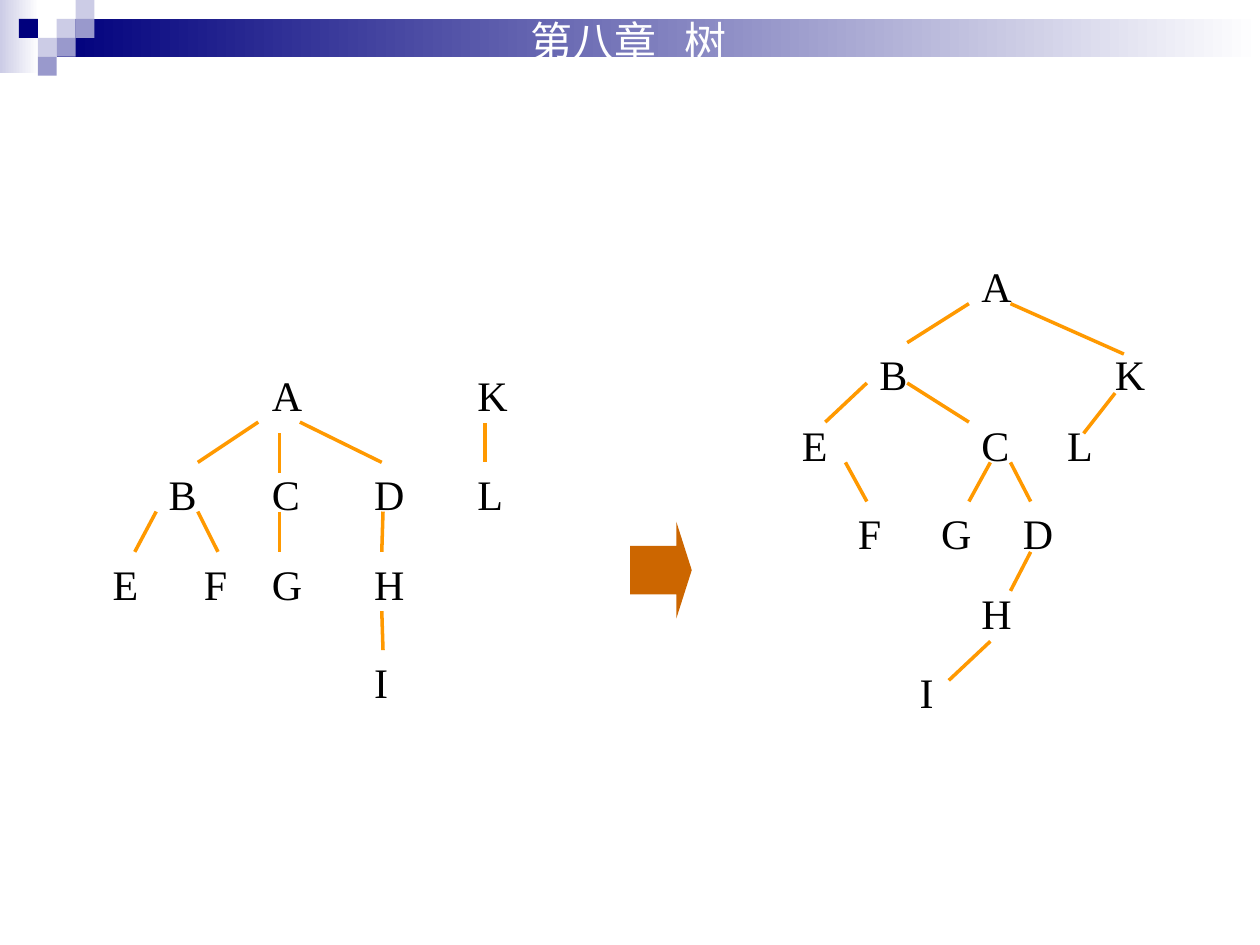
"""Build the slide that turns a forest into a binary tree."""
from dataclasses import dataclass

import pptx
import pptx.dml.color
import pptx.enum.shapes
import pptx.enum.text
import pptx.oxml
import pptx.oxml.ns
import pptx.util
from pptx.util import Inches

SHAPE = pptx.enum.shapes.MSO_SHAPE
ALIGN = pptx.enum.text.PP_ALIGN


@dataclass(frozen=True)
class Theme:
    navy: str = "00007D"
    lilac: str = "CCCCE6"
    violet: str = "9999CC"
    white: str = "FFFFFF"
    ink: str = "000000"
    edge: str = "FF9900"
    arrow: str = "CC6600"
    title_font: str = "Noto Sans CJK SC"
    node_font: str = "Times New Roman"
    size: int = 24
    edge_width: int = 2


THEME = Theme()
TILE = 0.15
NODE_SIZE = (0.49, 0.47)

MOSAIC = [
    (3, 1, THEME.lilac), (4, 0, THEME.lilac), (4, 1, THEME.violet),
    (2, 2, THEME.lilac), (1, 1, THEME.navy), (3, 2, THEME.violet),
    (2, 3, THEME.violet),
]

FOREST_ROWS = {
    2.88: {"A": 2.06, "K": 3.69},
    3.67: {"B": 1.24, "C": 2.06, "D": 2.87, "L": 3.69},
    4.38: {"E": 0.75, "F": 1.52, "G": 2.06, "H": 2.87},
    5.16: {"I": 2.87},
}
FOREST_EDGES = [
    (2.05, 3.35, 1.57, 3.67), (2.22, 3.44, 2.22, 3.75), (2.38, 3.35, 3.03, 3.67),
    (1.24, 4.06, 1.07, 4.38), (1.57, 4.06, 1.73, 4.38), (2.22, 4.06, 2.22, 4.38),
    (3.04, 4.06, 3.03, 4.38), (3.03, 4.85, 3.04, 5.16), (3.85, 3.36, 3.85, 3.67),
]

BINARY_ROWS = {
    2.02: {"A": 7.69},
    2.72: {"B": 6.88, "K": 8.75},
    3.28: {"E": 6.22, "C": 7.69, "L": 8.37},
    3.98: {"F": 6.71, "G": 7.37, "D": 8.02},
    4.61: {"H": 7.69},
    5.24: {"I": 7.2},
}
BINARY_EDGES = [
    (7.69, 2.41, 7.2, 2.72), (8.02, 2.41, 8.92, 2.81), (6.88, 3.04, 6.55, 3.35),
    (7.2, 3.04, 7.69, 3.35), (8.85, 3.12, 8.6, 3.44), (6.71, 3.67, 6.88, 3.98),
    (7.86, 3.67, 7.69, 3.98), (8.02, 3.67, 8.18, 3.98), (8.18, 4.38, 8.02, 4.69),
    (7.86, 5.09, 7.53, 5.4),
]


def rgb(color):
    """Turn a hex string into a colour."""
    return pptx.dml.color.RGBColor.from_string(color)


def add_block(s, kind, box, color, fade_to=None):
    """Add a borderless shape, plain or fading from left to right."""
    sp = s.shapes.add_shape(kind, *map(Inches, box))
    sp.shadow.inherit = False
    sp.line.fill.background()
    if fade_to:
        sp.fill.gradient()
        sp.fill.gradient_angle = 0
        for stop, shade in zip(sp.fill.gradient_stops, (color, fade_to)):
            stop.color.rgb = rgb(shade)
    else:
        sp.fill.solid()
        sp.fill.fore_color.rgb = rgb(color)
    return sp


def write(sp, text, font, color, align):
    """Write one styled run into a shape's first paragraph."""
    tf = sp.text_frame
    tf.word_wrap = True
    tf.auto_size = pptx.enum.text.MSO_AUTO_SIZE.NONE
    tf.vertical_anchor = pptx.enum.text.MSO_ANCHOR.TOP
    p = tf.paragraphs[0]
    p.alignment = align
    r = p.add_run()
    r.text = text
    r.font.name = font
    r.font.size = pptx.util.Pt(THEME.size)
    r.font.color.rgb = rgb(color)
    ea = pptx.oxml.parse_xml(f'<a:ea {pptx.oxml.ns.nsdecls("a")} typeface="{font}"/>')
    r.font._element.find(pptx.oxml.ns.qn("a:latin")).addnext(ea)


def add_header(s):
    """Draw the fading bar, its mosaic and the chapter title."""
    add_block(s, SHAPE.RECTANGLE, (0, 0, 0.31, 0.58), THEME.lilac, THEME.white)
    add_block(s, SHAPE.RECTANGLE, (0.45, TILE, 9.55, 0.3), THEME.navy, THEME.white)
    for col, row, color in MOSAIC:
        add_block(s, SHAPE.RECTANGLE, (col * TILE, row * TILE, TILE, TILE), color)
    sp = s.shapes.title
    sp.left, sp.top, sp.width, sp.height = map(Inches, (4.11, 0.07, 2.42, 0.5))
    write(sp, "第八章   树", THEME.title_font, THEME.white, ALIGN.LEFT)
    s.shapes._spTree.append(sp._element)


def add_node(s, letter, x, y):
    """Add the letter of one tree node."""
    sp = s.shapes.add_textbox(*map(Inches, (x, y, *NODE_SIZE)))
    align = ALIGN.CENTER if letter == "E" else ALIGN.JUSTIFY
    write(sp, letter, THEME.node_font, THEME.ink, align)


def add_edge(s, ends):
    """Add the line between a parent and a child."""
    kind = pptx.enum.shapes.MSO_CONNECTOR.STRAIGHT
    sp = s.shapes.add_connector(kind, *map(Inches, ends))
    sp.line.color.rgb = rgb(THEME.edge)
    sp.line.width = pptx.util.Pt(THEME.edge_width)
    effects = pptx.oxml.parse_xml(f'<a:effectLst {pptx.oxml.ns.nsdecls("a")}/>')
    sp._element.spPr.append(effects)


def add_tree(s, rows, edges):
    """Draw the nodes of a tree row by row, then its edges."""
    for y, nodes in rows.items():
        for letter, x in nodes.items():
            add_node(s, letter, x, y)
    for ends in edges:
        add_edge(s, ends)


def add_arrow(s):
    """Add the arrow that leads from the forest to the binary tree."""
    sp = add_block(s, SHAPE.RIGHT_ARROW, (5, 4.14, 0.49, 0.77), THEME.arrow)
    sp.adjustments[0] = 0.5
    sp.adjustments[1] = 0.25


def main():
    """Build and save the slide."""
    prs = pptx.Presentation()
    prs.slide_width, prs.slide_height = Inches(10), Inches(7.5)
    s = prs.slides.add_slide(prs.slide_layouts[5])
    add_header(s)
    add_tree(s, BINARY_ROWS, BINARY_EDGES)
    add_tree(s, FOREST_ROWS, FOREST_EDGES)
    add_arrow(s)
    prs.save("out.pptx")


if __name__ == "__main__":
    main()
